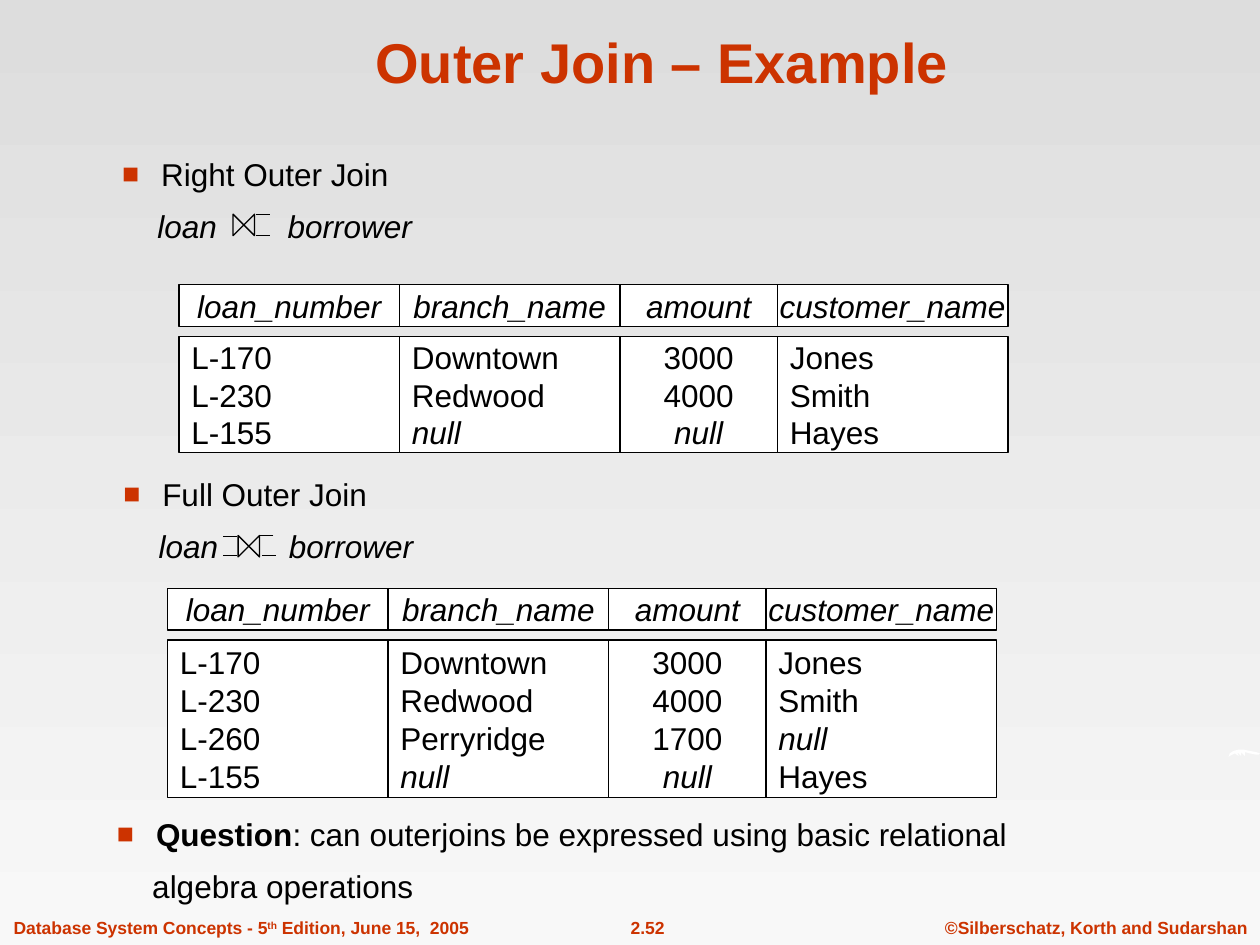
from dataclasses import dataclass

from lxml import etree
from pptx import Presentation
from pptx.dml.color import RGBColor
from pptx.enum.shapes import MSO_CONNECTOR, MSO_SHAPE
from pptx.enum.text import MSO_ANCHOR, PP_ALIGN
from pptx.oxml.ns import qn
from pptx.util import Inches, Pt

LEFT, CENTER = PP_ALIGN.LEFT, PP_ALIGN.CENTER
TOP, MIDDLE, BOTTOM = MSO_ANCHOR.TOP, MSO_ANCHOR.MIDDLE, MSO_ANCHOR.BOTTOM
RECTANGLE, COLLATE = MSO_SHAPE.RECTANGLE, MSO_SHAPE.FLOWCHART_COLLATE
STRAIGHT = MSO_CONNECTOR.STRAIGHT

FONT = "Arial"
RED, BLACK, WHITE = "CC3300", "000000", "FFFFFF"
BULLET_INDENT = 0.31
DETAIL_INDENT = 0.28
SYMBOL_GAP = 35.5  # points added to the space that holds the join symbol

HEADER_HEIGHT = 0.33
BODY_OFFSET = 0.41


@dataclass
class Run:
    text: str
    bold: bool = False
    italic: bool = False
    superscript: bool = False
    spacing: float = 0


@dataclass
class Column:
    title: str
    width: float
    align: PP_ALIGN = LEFT


@dataclass
class Relation:
    left: float
    top: float
    body_height: float
    rows: list[tuple[str, ...]]


@dataclass
class Join:
    """A bulleted join name with its formula, bowtie symbol and side strokes."""
    title: str
    left: float
    top: float
    bowtie: tuple[float, float]
    strokes: list[tuple[float, float, float]]


COLUMNS = [
    Column("loan_number", 1.75),
    Column("branch_name", 1.75),
    Column("amount", 1.25, CENTER),
    Column("customer_name", 1.83),
]

RELATIONS = [
    Relation(1.42, 2.26, 0.92, [
        ("L-170", "Downtown", "3000", "Jones"),
        ("L-230", "Redwood", "4000", "Smith"),
        ("L-155", "null", "null", "Hayes"),
    ]),
    Relation(1.33, 4.67, 1.25, [
        ("L-170", "Downtown", "3000", "Jones"),
        ("L-230", "Redwood", "4000", "Smith"),
        ("L-260", "Perryridge", "1700", "null"),
        ("L-155", "null", "null", "Hayes"),
    ]),
]

FORMULA = [Run("loan", italic=True), Run(" ", italic=True, spacing=SYMBOL_GAP),
           Run("borrower", italic=True)]

# Each stroke is (start x, end x, y).
JOINS = [
    Join("Full Outer Join", 0.88, 3.72, (1.89, 4.25), [
        (1.88, 1.77, 4.26), (1.88, 1.77, 4.41),
        (2.19, 2.08, 4.41), (2.17, 2.06, 4.25),
    ]),
    Join("Right Outer Join", 0.87, 1.18, (1.85, 1.7), [
        (2.14, 2.03, 1.7), (2.14, 2.03, 1.87),
    ]),
]

SWOOSH = [
    (9.75, 6.01), (9.76, 5.98), (9.79, 5.96), (9.83, 5.95), (9.87, 5.95),
    (9.92, 5.96), (9.97, 5.97), (10, 5.98), (9.99, 5.99), (9.97, 5.99),
    (9.92, 5.98), (9.88, 5.97), (9.88, 6), (9.85, 5.97), (9.85, 6),
    (9.82, 5.97), (9.83, 6), (9.8, 5.98), (9.78, 5.99), (9.76, 6),
]


def color(hex_value: str) -> RGBColor:
    return RGBColor.from_string(hex_value)


def write_text(shape, paragraphs: list[list[Run]], *, size: float = 18, text_color: str = BLACK,
               align: PP_ALIGN = LEFT, anchor: MSO_ANCHOR = TOP, wrap: bool = True,
               space_before: float = 0) -> None:
    frame = shape.text_frame
    frame.word_wrap = wrap
    frame.vertical_anchor = anchor
    for index, runs in enumerate(paragraphs):
        paragraph = frame.paragraphs[0] if index == 0 else frame.add_paragraph()
        paragraph.alignment = align
        paragraph.space_before = Pt(space_before)
        for part in runs:
            run = paragraph.add_run()
            run.text = part.text
            font = run.font
            font.name, font.size = FONT, Pt(size)
            font.bold, font.italic = part.bold, part.italic
            font.color.rgb = color(text_color)
            if part.superscript:
                font._element.set("baseline", "30000")
            if part.spacing:
                font._element.set("spc", str(round(part.spacing * 100)))


def add_text(slide, left: float, top: float, width: float, height: float,
             paragraphs: list[list[Run]], **text_format):
    box = slide.shapes.add_textbox(Inches(left), Inches(top), Inches(width), Inches(height))
    write_text(box, paragraphs, **text_format)
    return box


def add_bullet_text(slide, left: float, top: float, width: float,
                    heading: list[Run], detail: list[Run]) -> None:
    """Add a red-square bullet and an indented line below it."""
    box = add_text(slide, left, top, width, 0.81, [heading, detail], space_before=7.9)
    first, second = (paragraph._p.get_or_add_pPr() for paragraph in box.text_frame.paragraphs)

    first.set("marL", str(Inches(BULLET_INDENT)))
    first.set("indent", str(-Inches(BULLET_INDENT)))
    bullet_color = etree.SubElement(first, qn("a:buClr"))
    etree.SubElement(bullet_color, qn("a:srgbClr"), val=RED)
    etree.SubElement(first, qn("a:buSzPct"), val="90000")
    etree.SubElement(first, qn("a:buFont"), typeface=FONT)
    etree.SubElement(first, qn("a:buChar"), char="■")

    second.set("marL", "0")
    second.set("indent", str(Inches(DETAIL_INDENT)))


def add_outlined_shape(slide, kind: MSO_SHAPE, left: float, top: float,
                       width: float, height: float):
    shape = slide.shapes.add_shape(kind, Inches(left), Inches(top), Inches(width), Inches(height))
    shape.shadow.inherit = False
    shape.line.color.rgb = color(BLACK)
    shape.line.width = Pt(0.75)
    return shape


def add_cell(slide, left: float, top: float, width: float, height: float,
             paragraphs: list[list[Run]], **text_format) -> None:
    cell = add_outlined_shape(slide, RECTANGLE, left, top, width, height)
    cell.fill.solid()
    cell.fill.fore_color.rgb = color(WHITE)
    write_text(cell, paragraphs, anchor=MIDDLE, **text_format)


def add_relation(slide, relation: Relation) -> None:
    left = relation.left
    for column, values in zip(COLUMNS, zip(*relation.rows)):
        add_cell(slide, left, relation.top, column.width, HEADER_HEIGHT,
                 [[Run(column.title, italic=True)]], align=CENTER, wrap=False)
        add_cell(slide, left, relation.top + BODY_OFFSET, column.width, relation.body_height,
                 [[Run(value, italic=value == "null")] for value in values], align=column.align)
        left += column.width


def add_stroke(slide, start: float, end: float, y: float) -> None:
    stroke = slide.shapes.add_connector(STRAIGHT, Inches(start), Inches(y), Inches(end), Inches(y))
    stroke.line.color.rgb = color(BLACK)
    stroke.line.width = Pt(0.75)
    etree.SubElement(stroke._element.spPr, qn("a:effectLst"))


def add_join(slide, join: Join) -> None:
    add_bullet_text(slide, join.left, join.top, 4.45, [Run(join.title)], FORMULA)
    bowtie = add_outlined_shape(slide, COLLATE, *join.bowtie, 0.17, 0.17)
    bowtie.fill.background()
    bowtie.rotation = 270
    for stroke in join.strokes:
        add_stroke(slide, *stroke)


def add_swoosh(slide) -> None:
    points = [(Inches(x), Inches(y)) for x, y in SWOOSH]
    builder = slide.shapes.build_freeform(*points[0])
    builder.add_line_segments(points[1:], close=True)
    swoosh = builder.convert_to_shape()
    swoosh.shadow.inherit = False
    swoosh.fill.solid()
    swoosh.fill.fore_color.rgb = color(WHITE)
    swoosh.line.fill.background()


def add_background(slide) -> None:
    fill = slide.background.fill
    fill.gradient()
    fill.gradient_angle = 270
    for stop, position, shade in zip(fill.gradient_stops, (0, 1), ("DDDDDD", "F8F8F8")):
        stop.position = position
        stop.color.rgb = color(shade)


def add_footer(slide) -> None:
    edition = [Run("Database System Concepts - 5", bold=True),
               Run("th", bold=True, superscript=True),
               Run(" Edition, June 15,  2005", bold=True)]
    footers = [
        (7.4, 2.6, CENTER, [Run("©Silberschatz, Korth and Sudarshan", bold=True)]),
        (4.65, 0.98, CENTER, [Run("2.52", bold=True)]),
        (0.01, 3.81, LEFT, edition),
    ]
    for left, width, align, runs in footers:
        add_text(slide, left, 7.23, width, 0.27, [runs], size=10, text_color=RED,
                 align=align, wrap=False, space_before=6.2)


def main() -> None:
    presentation = Presentation()
    presentation.slide_width, presentation.slide_height = Inches(10), Inches(7.5)
    slide = presentation.slides.add_slide(presentation.slide_layouts[6])
    add_background(slide)
    add_footer(slide)
    add_swoosh(slide)
    add_text(slide, 0.84, 0.13, 8.83, 0.67, [[Run("Outer Join – Example", bold=True)]],
             size=32, text_color=RED, align=CENTER, anchor=BOTTOM)
    for relation in RELATIONS:
        add_relation(slide, relation)
    for join in JOINS:
        add_join(slide, join)
    add_bullet_text(slide, 0.83, 6.42, 7.92,
                    [Run("Question", bold=True),
                     Run(": can outerjoins be expressed using basic relational")],
                    [Run("algebra operations")])
    presentation.save("out.pptx")


if __name__ == "__main__":
    main()
